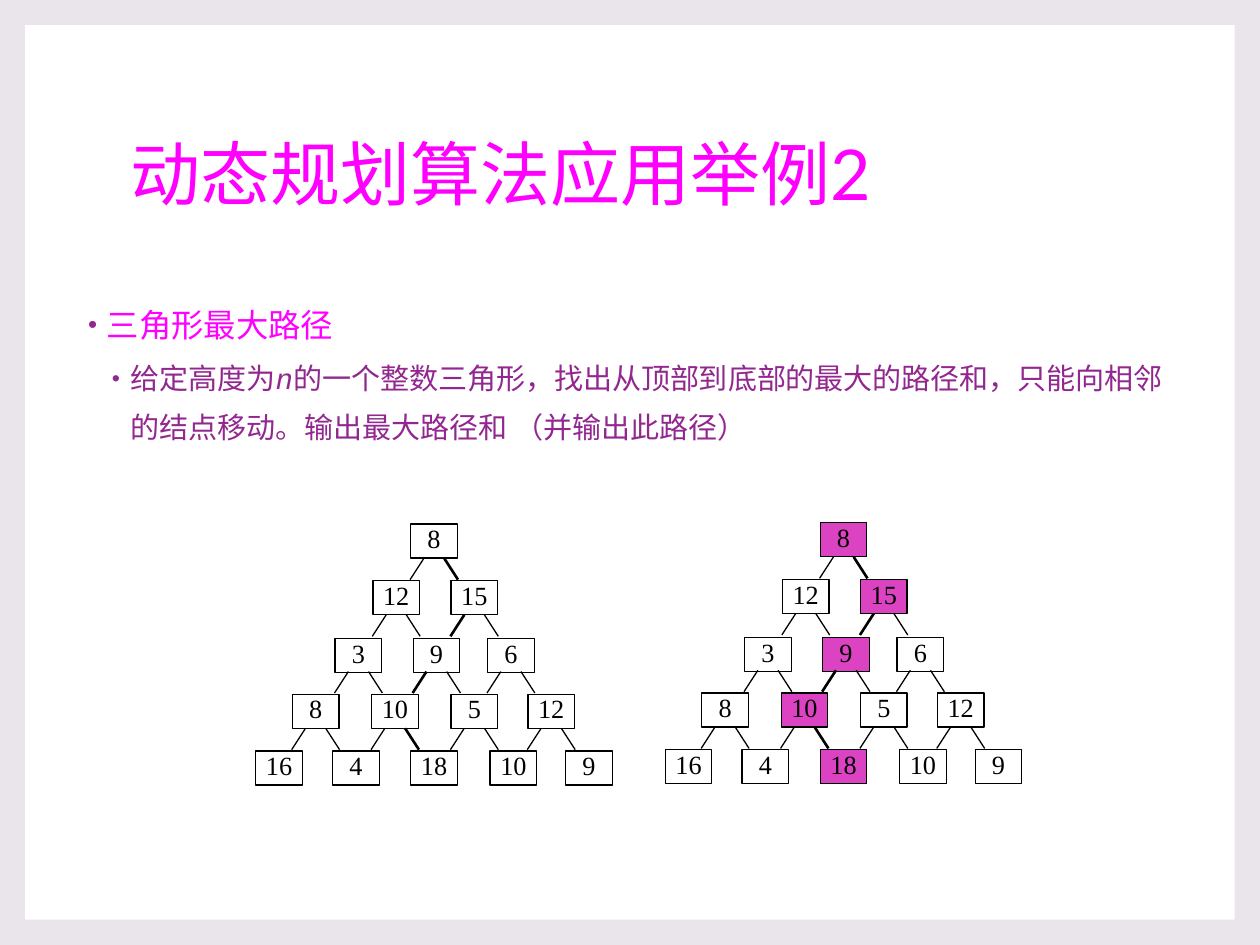
from dataclasses import dataclass
from lxml import etree
from pptx import Presentation
from pptx import util as u
from pptx.dml.color import RGBColor
from pptx.enum import shapes, text
from pptx.oxml import ns

In, Pt = u.Inches, u.Pt


@dataclass(frozen=True)
class Theme:
    backdrop: str = "EAE5EB"
    panel: str = "FFFFFF"
    accent: str = "FF00FF"
    body: str = "92278F"
    chosen: str = "DB43C2"
    ink: str = "000000"
    title_font: str = "Lato"
    body_font: str = "Courier New"
    node_font: str = "Times New Roman"
    title_size: float = 40
    topic_size: float = 18.5
    detail_size: float = 16.6
    node_size: float = 15
    thin: float = 0.75
    thick: float = 1.5


VALUES = [[8], [12, 15], [3, 9, 6], [8, 10, 5, 12], [16, 4, 18, 10, 9]]
LEFTS = [
    [3.26],
    [2.96, 3.58],
    [2.66, 3.28, 3.87],
    [2.32, 2.95, 3.58, 4.19],
    [2.03, 2.64, 3.26, 3.89, 4.49],
]
TOPS = [4.16, 4.61, 5.07, 5.51, 5.96]
BEST_PATH = [0, 1, 1, 1, 2]
NODE_W, NODE_H = 0.37, 0.27
EDGE_TOP, EDGE_STEP, EDGE_H = 4.43, 0.45, 0.17
EDGE_START, EDGE_END = 0.08, 0.19


class SlideBuilder:
    def __init__(self, s, theme):
        self.s, self.t = s, theme
        s.background.fill.solid()
        s.background.fill.fore_color.rgb = RGBColor.from_string(theme.backdrop)

    def style(self, font, name, size, color):
        font.name, font.size = name, Pt(size)
        font.color.rgb = RGBColor.from_string(color)

    def rect(self, parent, x, y, w, h, fill=None, line=None):
        sp = parent.add_shape(shapes.MSO_SHAPE.RECTANGLE, In(x), In(y), In(w), In(h))
        sp.shadow.inherit = False
        if fill:
            sp.fill.solid()
            sp.fill.fore_color.rgb = RGBColor.from_string(fill)
        else:
            sp.fill.background()
        if line:
            sp.line.color.rgb = RGBColor.from_string(line)
            sp.line.width = Pt(self.t.thin)
        else:
            sp.line.fill.background()
        return sp

    def textbox(self, x, y, w, h, anchor=text.MSO_ANCHOR.TOP):
        tf = self.s.shapes.add_textbox(In(x), In(y), In(w), In(h)).text_frame
        tf.word_wrap = True
        tf.vertical_anchor = anchor
        return tf

    def title(self, words, x, y, w, h):
        p = self.textbox(x, y, w, h, text.MSO_ANCHOR.MIDDLE).paragraphs[0]
        p.text = words
        p.line_spacing = 0.9
        self.style(p.font, self.t.title_font, self.t.title_size, self.t.accent)

    def bullet(self, p, runs, level, indent, before, after, name, size, color):
        p.level = level
        p.line_spacing = 1.4
        p.space_before, p.space_after = Pt(before), Pt(after)
        self.style(p.font, name, size, color)
        for words, italic in runs:
            r = p.add_run()
            r.text = words
            if italic:
                r.font.italic = True
        pPr = p._p.get_or_add_pPr()
        pPr.set("marL", str(In(indent)))
        pPr.set("indent", str(In(-0.15)))
        marks = [
            etree.Element(ns.qn("a:buClr")),
            etree.Element(ns.qn("a:buSzPct"), val="80000"),
            etree.Element(ns.qn("a:buFont"), typeface="Arial"),
            etree.Element(ns.qn("a:buChar"), char="•"),
        ]
        etree.SubElement(marks[0], ns.qn("a:srgbClr"), val=self.t.body)
        defaults = pPr.find(ns.qn("a:defRPr"))
        for mark in marks:
            defaults.addprevious(mark)

    def node(self, parent, value, x, y, fill):
        tf = self.rect(parent, x, y, NODE_W, NODE_H, fill, self.t.ink).text_frame
        tf.margin_left = tf.margin_right = tf.margin_top = tf.margin_bottom = 0
        tf.vertical_anchor = text.MSO_ANCHOR.MIDDLE
        p = tf.paragraphs[0]
        p.text = str(value)
        p.alignment = text.PP_ALIGN.CENTER
        p.line_spacing = 0.8
        self.style(p.font, self.t.node_font, self.t.node_size, self.t.ink)

    def edge(self, parent, x1, y1, x2, y2, width):
        c = parent.add_connector(
            shapes.MSO_CONNECTOR.STRAIGHT, In(x1), In(y1), In(x2), In(y2))
        c.line.color.rgb = RGBColor.from_string(self.t.ink)
        c.line.width = Pt(width)
        etree.SubElement(c._element.spPr, ns.qn("a:effectLst"))

    def triangle(self, dx, dy, fill, path_fill):
        group = self.s.shapes.add_group_shape().shapes
        for row, (values, lefts) in enumerate(zip(VALUES, LEFTS)):
            for col, (value, left) in enumerate(zip(values, lefts)):
                on_path = col == BEST_PATH[row]
                self.node(group, value, left + dx, TOPS[row] + dy,
                          path_fill if on_path else fill)
        for row, lefts in enumerate(LEFTS[:-1]):
            y = EDGE_TOP + row * EDGE_STEP + dy
            for col, left in enumerate(lefts):
                center = left + dx + NODE_W / 2
                for child, side in ((col, -1), (col + 1, 1)):
                    best = (col, child) == (BEST_PATH[row], BEST_PATH[row + 1])
                    self.edge(group, center + side * EDGE_START, y,
                              center + side * EDGE_END, y + EDGE_H,
                              self.t.thick if best else self.t.thin)


def main():
    prs = Presentation()
    prs.slide_width, prs.slide_height = In(10), In(7.5)
    t = Theme()
    b = SlideBuilder(prs.slides.add_slide(prs.slide_layouts[6]), t)
    b.rect(b.s.shapes, 0.2, 0.2, 9.6, 7.1, t.panel)
    b.title("动态规划算法应用举例2", 0.94, 0.67, 8.1, 1.48)
    tf = b.textbox(0.56, 2.25, 8.88, 1.38)
    b.bullet(tf.paragraphs[0], [("三角形最大路径", False)], 0, 0.19, 10, 0,
             t.title_font, t.topic_size, t.accent)
    detail = [
        ("给定高度为", False),
        ("n", True),
        ("的一个整数三角形，找出从顶部到底部的最大的路径和，"
         "只能向相邻的结点移动。输出最大路径和 （并输出此路径）", False),
    ]
    b.bullet(tf.add_paragraph(), detail, 1, 0.38, 1.5, 3,
             t.body_font, t.detail_size, t.body)
    b.triangle(0, 0, None, None)
    b.triangle(3.25, -0.01, t.panel, t.chosen)
    prs.save("out.pptx")


if __name__ == "__main__":
    main()
